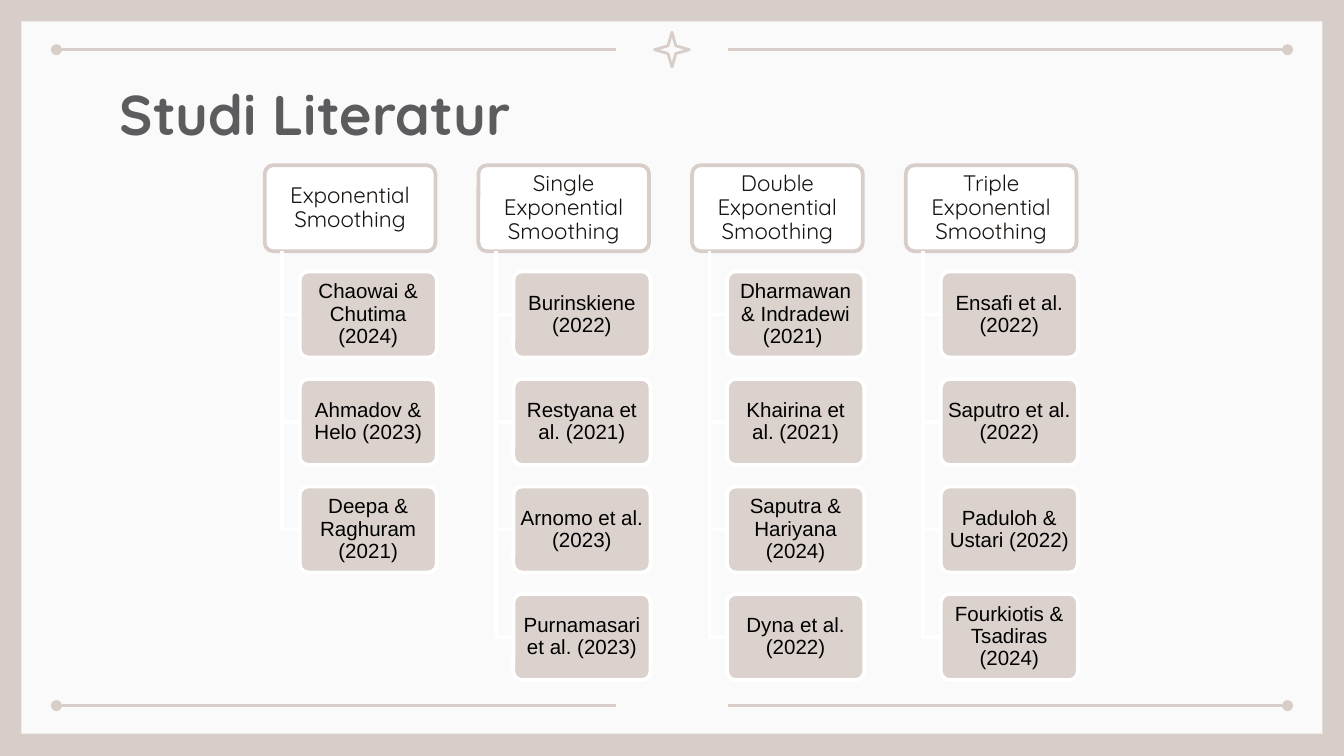
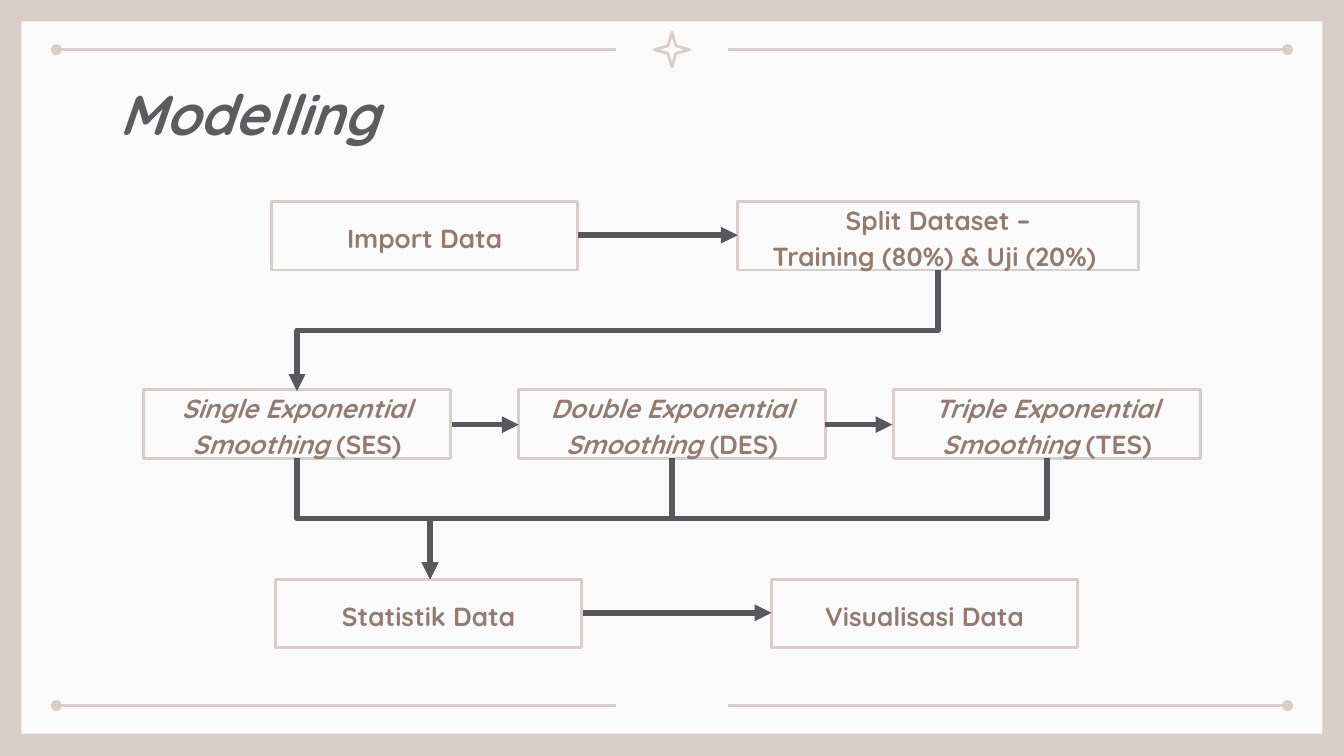
from lxml.etree import SubElement
from pptx import Presentation
from pptx.dml.color import RGBColor
from pptx.enum.shapes import MSO_CONNECTOR, MSO_SHAPE
from pptx.enum.text import MSO_ANCHOR, MSO_AUTO_SIZE, PP_ALIGN
from pptx.oxml.ns import qn
from pptx.util import Inches, Pt

rgb = RGBColor.from_string
SAND = "D8CEC9"
PAPER = "FAFAFA"
WHITE = "FFFFFF"
CHARCOAL = "58585C"

TITLE = {"name": "Quicksand", "size": Pt(30), "bold": True}
METHOD = {"name": "Quicksand", "size": Pt(12), "bold": False}
STUDY = {"name": "Arial", "size": Pt(11), "bold": False}
STEP = {"name": "Quicksand", "size": Pt(14), "bold": True}


def add_box(s, kind, x, y, w, h, fill=None, line=None, width=1.5,
            paragraphs=(), font=STEP, color="927C71", inset=0.1, spacing=1.15):
    sp = s.shapes.add_shape(kind, Inches(x), Inches(y), Inches(w), Inches(h))
    sp.shadow.inherit = False
    if fill:
        sp.fill.solid()
        sp.fill.fore_color.rgb = rgb(fill)
    else:
        sp.fill.background()
    if line:
        sp.line.color.rgb = rgb(line)
        sp.line.width = Pt(width)
    else:
        sp.line.fill.background()
    tf = sp.text_frame
    frame = {"word_wrap": True, "vertical_anchor": MSO_ANCHOR.MIDDLE}
    for side in ("left", "top", "right", "bottom"):
        frame[f"margin_{side}"] = Inches(inset)
    for key, value in frame.items():
        setattr(tf, key, value)
    for i, runs in enumerate(paragraphs):
        p = tf.add_paragraph() if i else tf.paragraphs[0]
        p.alignment = PP_ALIGN.CENTER
        p.line_spacing = spacing
        for text, italic in runs:
            r = p.add_run()
            r.text = text
            for key, value in {**font, "italic": italic}.items():
                setattr(r.font, key, value)
            r.font.color.rgb = rgb(color)
    return sp


def add_line(s, x1, y1, x2, y2, color=CHARCOAL, width=3, end="tailEnd", head="triangle",
             kind=MSO_CONNECTOR.STRAIGHT):
    c = s.shapes.add_connector(kind, Inches(x1), Inches(y1), Inches(x2), Inches(y2))
    c.line.color.rgb = rgb(color)
    c.line.width = Pt(width)
    SubElement(c.element.spPr.find(qn("a:ln")), qn(f"a:{end}"), type=head)
    SubElement(c.element.spPr, qn("a:effectLst"))
    return c


prs = Presentation()
prs.slide_width = Inches(10)
prs.slide_height = Inches(10 * 9 / 16)

layout = prs.slide_layouts[5]
layout.background.fill.solid()
layout.background.fill.fore_color.rgb = rgb(SAND)

literature = prs.slides.add_slide(layout)
modelling = prs.slides.add_slide(layout)

decor = [add_box(literature, MSO_SHAPE.RECTANGLE, 0.16, 0.16, 9.68, 5.3, fill=PAPER)]
for y in (0.37, 5.25):
    for x, end in ((0.42, "headEnd"), (5.42, "tailEnd")):
        decor.append(add_line(literature, x, y, x + 4.16, y, SAND, 1.5, end, "oval"))
star = add_box(literature, MSO_SHAPE.STAR_4_POINT, 4.87, 0.24, 0.26, 0.26, line=SAND)
star.adjustments[0] = 0.157
decor.append(star)
for sp in decor:
    layout.shapes.element.append(sp.element)

for s, text, italic in ((literature, "Studi Literatur", False), (modelling, "Modelling", True)):
    title = s.shapes.title
    place = {"left": 0.79, "top": 0.49, "width": 8.43, "height": 0.63}
    for key, value in place.items():
        setattr(title, key, Inches(value))
    tf = title.text_frame
    frame = {"word_wrap": True, "auto_size": MSO_AUTO_SIZE.NONE, "vertical_anchor": MSO_ANCHOR.TOP}
    for side in ("left", "top", "right", "bottom"):
        frame[f"margin_{side}"] = Inches(0.1)
    for key, value in frame.items():
        setattr(tf, key, value)
    p = tf.paragraphs[0]
    p.alignment = PP_ALIGN.LEFT
    r = p.add_run()
    r.text = text
    for key, value in {**TITLE, "italic": italic}.items():
        setattr(r.font, key, value)
    r.font.color.rgb = rgb("5C5C5F")

studies = {
    "Exponential Smoothing": [
        "Chaowai & Chutima (2024)", "Ahmadov & Helo (2023)", "Deepa & Raghuram (2021)"],
    "Single Exponential Smoothing": [
        "Burinskiene (2022)", "Restyana et al. (2021)", "Arnomo et al. (2023)",
        "Purnamasari et al. (2023)"],
    "Double Exponential Smoothing": [
        "Dharmawan & Indradewi (2021) ", "Khairina et al. (2021)", "Saputra & Hariyana (2024)",
        "Dyna et al. (2022)"],
    "Triple Exponential Smoothing": [
        "Ensafi et al. (2022)", "Saputro et al. (2022)", "Paduloh & Ustari (2022)",
        "Fourkiotis & Tsadiras (2024)"],
}
for column, (method, authors) in enumerate(studies.items()):
    x = 1.97 + 1.59 * column
    add_box(literature, MSO_SHAPE.ROUNDED_RECTANGLE, x, 1.23, 1.27, 0.64, WHITE, SAND, 2,
            [[(method, False)]], METHOD, "181411", 0.02, 0.9).adjustments[0] = 0.1
    for row, author in enumerate(authors):
        y = 2.02 + 0.8 * row
        trunk, middle = Inches(x + 0.13), Inches(y + 0.32)
        branch = literature.shapes.build_freeform(trunk, Inches(1.87))
        branch.add_line_segments([(trunk, middle), (Inches(x + 0.26), middle)], close=False)
        sp = branch.convert_to_shape()
        sp.shadow.inherit = False
        sp.fill.background()
        sp.line.color.rgb = rgb(WHITE)
        sp.line.width = Pt(2)
        card = add_box(literature, MSO_SHAPE.ROUNDED_RECTANGLE, x + 0.26, y, 1.02, 0.64, SAND,
                       WHITE, 2, [[(author, False)]], STUDY, "000000", 0.03, 0.9)
        card.adjustments[0] = 0.1
        SubElement(card.element.spPr.find(".//" + qn("a:srgbClr")), qn("a:alpha"), val="90000")

steps = [
    (2.02, 1.5, 2.28, [[("Import Data", False)]]),
    (5.49, 1.5, 2.98, [[("Split Dataset –", False)], [("Training (80%) & Uji (20%) ", False)]]),
    (2.05, 4.31, 2.28, [[("Statistik Data", False)]]),
    (5.74, 4.31, 2.28, [[("Visualisasi Data", False)]]),
]
for i, (name, code) in enumerate((("Single", "SES"), ("Double", "DES"), ("Triple", "TES"))):
    runs = [(f"{name} Exponential Smoothing ", True), (f"({code})", False)]
    steps.append((1.07 + 2.79 * i, 2.9, 2.28, [runs]))
for x, y, w, paragraphs in steps:
    add_box(modelling, MSO_SHAPE.RECTANGLE, x, y, w, 0.51, line=SAND, paragraphs=paragraphs)

for x1, x2, y in ((4.3, 5.49, 1.75), (3.36, 3.86, 3.16), (6.14, 6.64, 3.16), (4.34, 5.74, 4.56)):
    add_line(modelling, x1, y, x2, y)

for x1, y1, x2 in ((6.98, 2.01, 2.21), (2.21, 3.41, 3.2), (5, 3.41, 3.2), (7.79, 3.41, 3.2)):
    drop, span = 0.9, abs(x2 - x1)
    cx, cy = (x1 + x2) / 2, y1 + drop / 2
    half = drop / 2 if x1 > x2 else -drop / 2
    bend = add_line(modelling, cx - half, cy - span / 2, cx + half, cy + span / 2,
                    kind=MSO_CONNECTOR.ELBOW)
    bend.element.spPr.xfrm.set("rot", str((90 if x1 > x2 else 270) * 60000))

prs.save("out.pptx")
